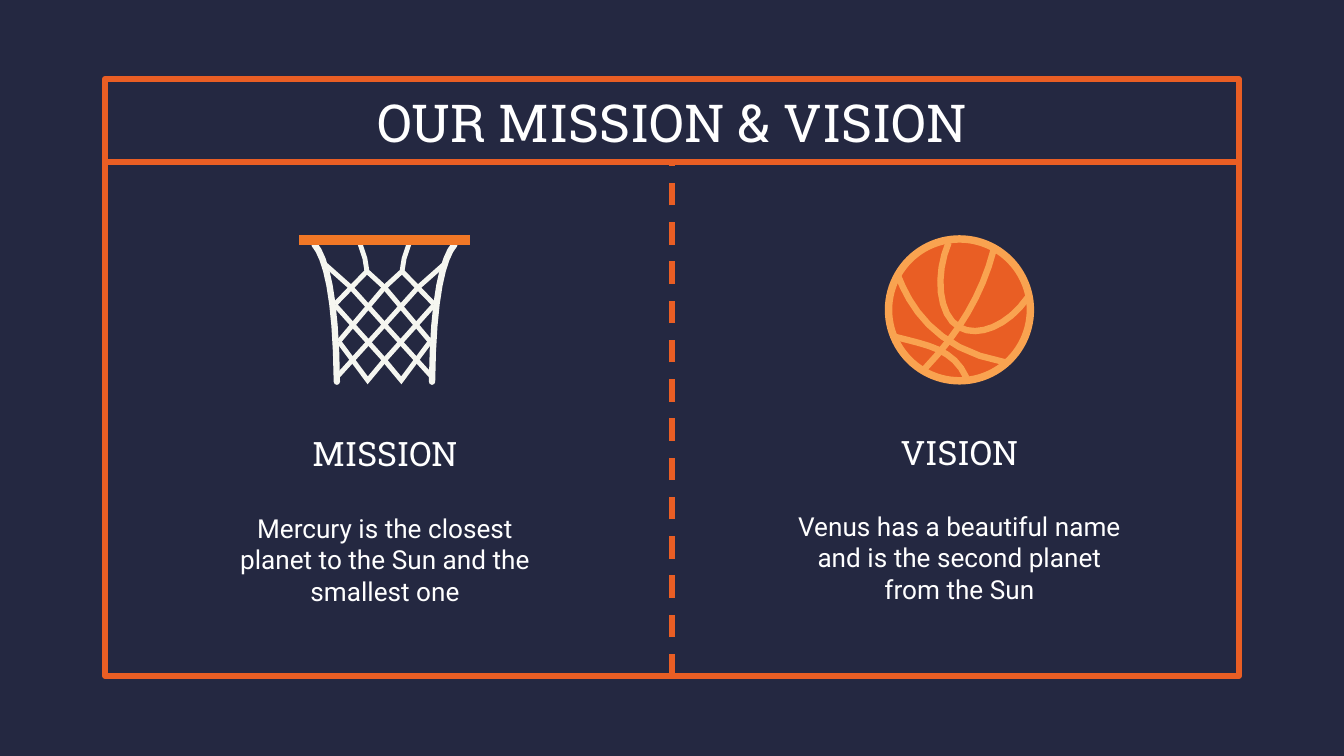
from typing import NamedTuple

from lxml.etree import SubElement
from pptx import Presentation
from pptx.dml.color import RGBColor
from pptx.enum.dml import MSO_LINE
from pptx.enum.shapes import MSO_CONNECTOR as Connector, MSO_SHAPE as Preset
from pptx.enum.text import MSO_ANCHOR as Anchor, MSO_AUTO_SIZE as AutoSize, PP_ALIGN as Align
from pptx.oxml.ns import qn
from pptx.util import Pt

COLORS = {"night": "242841", "orange": "E95E24", "rim": "F17726",
          "net": "F5F6F0", "seam": "F9A350", "white": "FFFFFF"}
SLAB, SANS = "Roboto Slab", "Roboto"
Point = tuple[float, float]
Path = list[Point]


class Label(NamedTuple):
    index: int  # placeholder index in the Comparison layout
    text: str
    left: float
    top: float
    width: float
    height: float
    font: str
    size: float
    after: float = 0


LABELS = [
    Label(0, "OUR MISSION & VISION", 56.25, 42.5, 607.5, 45, SLAB, 28),
    Label(1, "MISSION", 112.25, 226, 188, 34, SLAB, 18, 12),
    Label(2, "Mercury is the closest planet to the Sun and the smallest one",
          112.25, 259.7, 188, 80, SANS, 14),
    Label(3, "VISION", 420, 225.2, 188, 34, SLAB, 18, 12),
    Label(4, "Venus has a beautiful name and is the second planet from the Sun",
          420, 258.7, 188, 80, SANS, 14),
]

# Left half of the net, measured from the middle of the rim's lower edge
NET_ORIGIN: Point = (206, 131)
NET_SIDE: Path = [(-37.5, 0), (-31.5, 7), (-26, 27), (-25.5, 73.5)]
NET_STRANDS: list[Path] = [
    [(-13, 0), (-10.5, 7.5), (-9.4, 14.4), (0, 23), (-24.5, 52)],
    [(-9.4, 14.4), (-26.5, 32)],
    [(-31.5, 11), (-18, 23), (0, 43), (-25, 70.5)],
    [(-26.5, 32.5), (0, 62), (-9, 72.8), (-24.5, 52)],
]

# Ball seams as cubic curves, measured from the centre of the ball
BALL_CENTER: Point = (514, 166)
BALL_RADIUS = 38
BALL_SEAMS: list[Path] = [
    [(-5.8, -36), (-13, -19), (-11.5, 3), (0, 9.4)],
    [(0, 9.4), (10, 15), (26, 8.6), (36.5, -6.5)],
    [(18.3, -32), (12, -8), (0, 12), (-18.5, 31.5)],
    [(-33, -18.5), (-27, -3), (-14, 21), (24, 28)],
    [(-34, 14.6), (-17, 19), (-3, 21), (3.8, 36.5)],
]


def color(name: str) -> RGBColor:
    return RGBColor.from_string(COLORS[name])


def style_line(shape, name: str, width: float) -> None:
    shape.line.color.rgb = color(name)
    shape.line.width = Pt(width)


def fill_label(page, label: Label) -> None:
    box = page.placeholders[label.index]
    box.left, box.top = Pt(label.left), Pt(label.top)
    box.width, box.height = Pt(label.width), Pt(label.height)
    frame = box.text_frame
    frame.text = label.text
    frame.word_wrap = True
    frame.auto_size = AutoSize.NONE
    frame.vertical_anchor = Anchor.MIDDLE
    frame.margin_left = frame.margin_right = Pt(7.2)
    frame.margin_top = frame.margin_bottom = Pt(7.2)
    para = frame.paragraphs[0]
    para.alignment = Align.CENTER
    para.space_before, para.space_after = Pt(0), Pt(label.after)
    props = para._p.get_or_add_pPr()
    props.set("marL", "0")
    props.set("indent", "0")
    SubElement(props, qn("a:buNone"))
    para.font.name, para.font.size = label.font, Pt(label.size)
    para.font.bold = False
    para.font.color.rgb = color("white")


def add_shape(page, preset: Preset, left: float, top: float, width: float, height: float,
              fill: str | None):
    shape = page.shapes.add_shape(preset, Pt(left), Pt(top), Pt(width), Pt(height))
    shape.shadow.inherit = False
    if fill:
        shape.fill.solid()
        shape.fill.fore_color.rgb = color(fill)
    else:
        shape.fill.background()
    return shape


def add_rule(page, start: Point, end: Point):
    rule = page.shapes.add_connector(Connector.STRAIGHT, *map(Pt, start + end))
    style_line(rule, "orange", 3)
    SubElement(rule._element.spPr, qn("a:effectLst"))
    return rule


def curve(controls: Path, steps: int = 8) -> Path:
    """Sample a cubic curve at equal parameter steps."""
    points = []
    for step in range(steps + 1):
        t = step / steps
        weights = ((1 - t) ** 3, 3 * t * (1 - t) ** 2, 3 * t * t * (1 - t), t ** 3)
        points.append((sum(w * x for w, (x, _) in zip(weights, controls)),
                       sum(w * y for w, (_, y) in zip(weights, controls))))
    return points


def mirror(path: Path) -> Path:
    return [(-x, y) for x, y in path]


def add_strokes(page, origin: Point, paths: list[Path], name: str, width: float,
                cap: str = "flat") -> None:
    """Draw several open paths as one outline."""
    builder = None
    for path in paths:
        start, *rest = [(Pt(origin[0] + x), Pt(origin[1] + y)) for x, y in path]
        if builder is None:
            builder = page.shapes.build_freeform(*start, scale=1.0)
        else:
            builder.move_to(*start)
        builder.add_line_segments(rest, close=False)
    strokes = builder.convert_to_shape()
    strokes.shadow.inherit = False
    strokes.fill.background()
    style_line(strokes, name, width)
    line = strokes.line._get_or_add_ln()
    line.set("cap", cap)
    SubElement(line, qn("a:miter"), lim="800000")


def add_hoop(page) -> None:
    rim = add_shape(page, Preset.RECTANGLE, 160.25, 126, 91.5, 5.2, "rim")
    rim.line.fill.background()
    add_strokes(page, NET_ORIGIN, NET_STRANDS, "net", 2.6)
    add_strokes(page, NET_ORIGIN, [mirror(path) for path in NET_STRANDS], "net", 2.6)
    side = curve(NET_SIDE)
    add_strokes(page, NET_ORIGIN, [side, mirror(side)], "net", 3.4, "rnd")
    # The rim covers the upper ends of the net
    page.shapes._spTree.append(rim._element)


def add_ball(page) -> None:
    x, y = BALL_CENTER
    ball = add_shape(page, Preset.OVAL, x - BALL_RADIUS, y - BALL_RADIUS,
                     2 * BALL_RADIUS, 2 * BALL_RADIUS, "orange")
    style_line(ball, "seam", 4)
    add_strokes(page, BALL_CENTER, [curve(seam) for seam in BALL_SEAMS], "seam", 3.4)


def main() -> None:
    deck = Presentation()
    deck.slide_width, deck.slide_height = Pt(720), Pt(405)
    page = deck.slides.add_slide(deck.slide_layouts.get_by_name("Comparison"))
    page.background.fill.solid()
    page.background.fill.fore_color.rgb = color("night")

    # Frame, title rule and dashed divider
    frame = add_shape(page, Preset.RECTANGLE, 56.25, 42.2, 607.5, 320, None)
    style_line(frame, "orange", 3)
    SubElement(frame.line._get_or_add_ln(), qn("a:round"))
    add_rule(page, (57.5, 86.7), (662.5, 86.7))
    divider = add_rule(page, (360, 362.4), (360, 87.5))
    divider.line.dash_style = MSO_LINE.DASH

    # Title, headings and descriptions
    for label in LABELS:
        fill_label(page, label)

    # Icons
    add_hoop(page)
    add_ball(page)
    deck.save("out.pptx")


if __name__ == "__main__":
    main()
